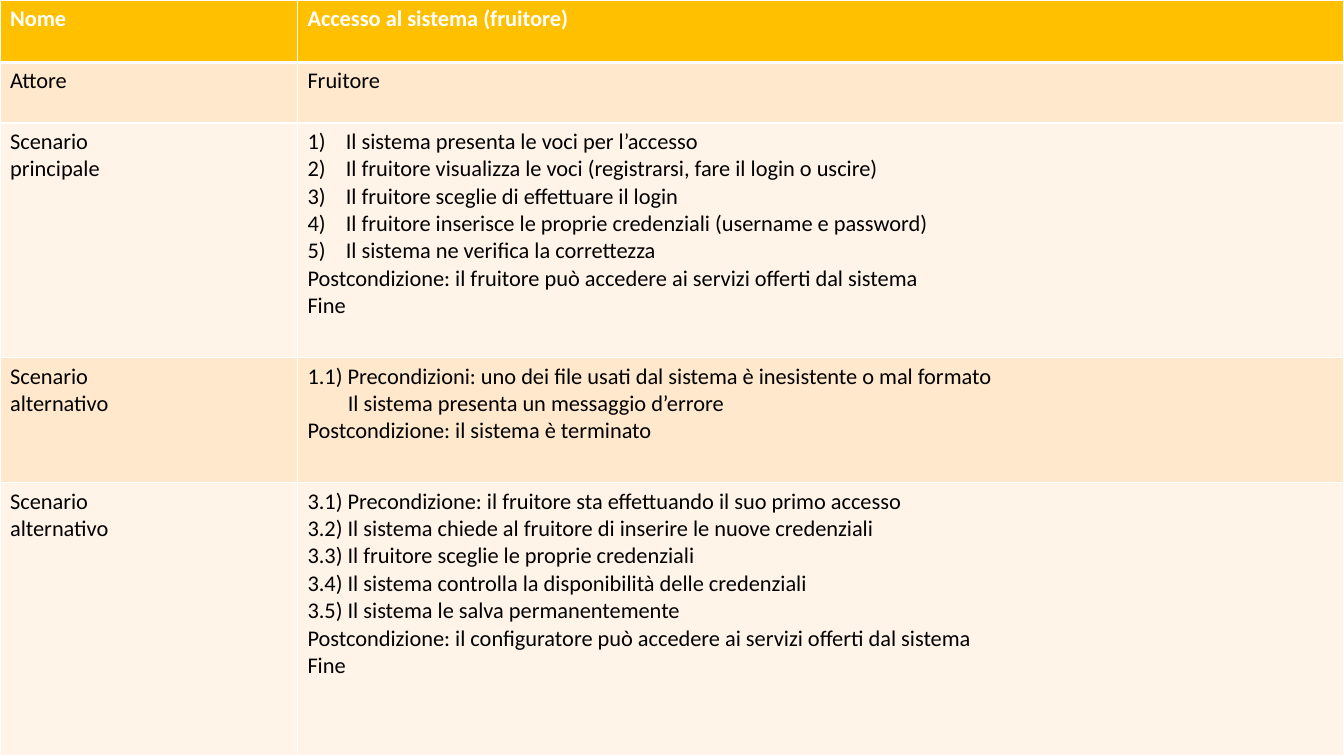
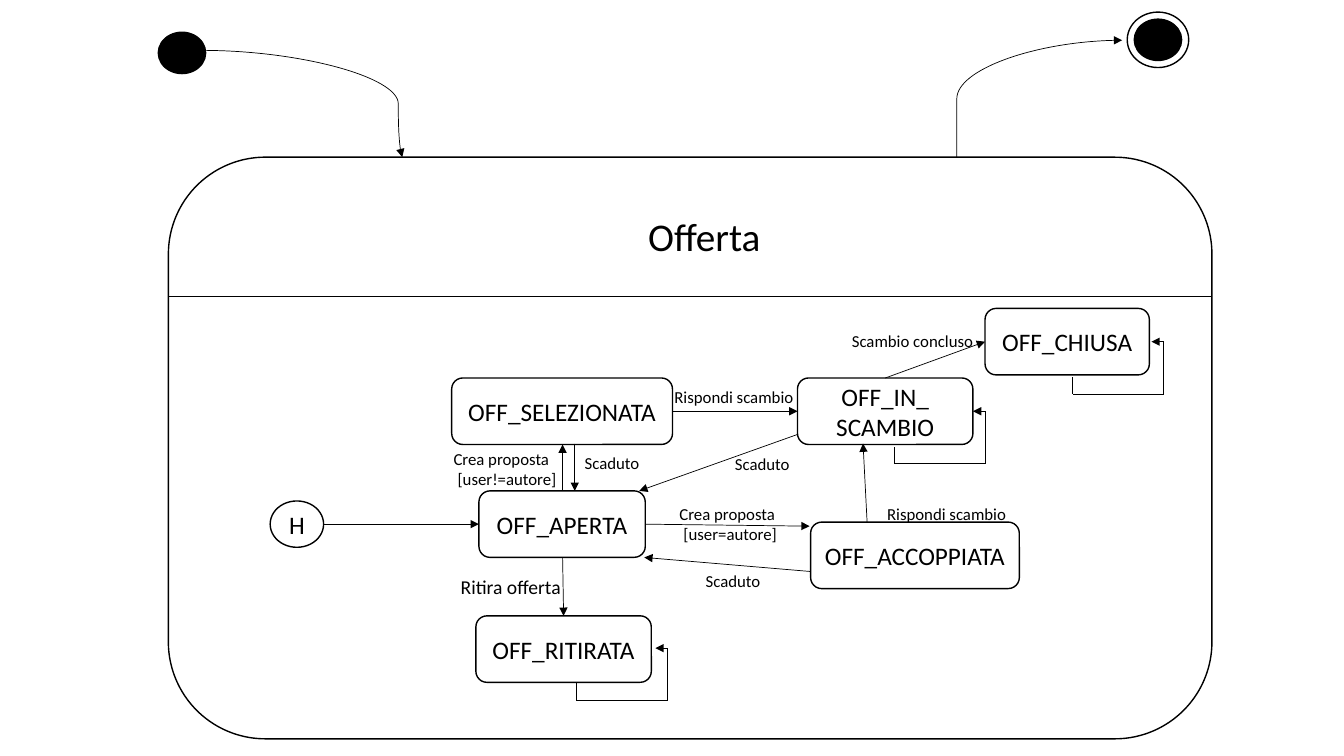
import lxml.etree
import pptx
import pptx.dml.color
import pptx.enum.shapes
import pptx.enum.text
import pptx.oxml.ns
import pptx.util

Inches = pptx.util.Inches
Pt = pptx.util.Pt
RGBColor = pptx.dml.color.RGBColor
SHAPE = pptx.enum.shapes.MSO_SHAPE
CONNECTOR = pptx.enum.shapes.MSO_CONNECTOR
ALIGN = pptx.enum.text.PP_ALIGN
ANCHOR = pptx.enum.text.MSO_ANCHOR
qn = pptx.oxml.ns.qn

# Shared look
FONT = "Calibri"
BLACK = RGBColor(0x00, 0x00, 0x00)
WHITE = RGBColor(0xFF, 0xFF, 0xFF)
GOLD = RGBColor(0xFF, 0xC0, 0x00)
PEACH = RGBColor(0xFF, 0xE8, 0xCC)
CREAM = RGBColor(0xFF, 0xF4, 0xE7)

# Use case rows: height, label lines, content lines as (text, kind)
USE_CASE = [
    (0.62, ["Nome"], [("Accesso al sistema (fruitore)", "")]),
    (0.6, ["Attore"], [("Fruitore", "")]),
    (2.33, ["Scenario", "principale"], [
        ("Il sistema presenta le voci per l’accesso", "numbered"),
        ("Il fruitore visualizza le voci (registrarsi, fare il login o uscire)", "numbered"),
        ("Il fruitore sceglie di effettuare il login", "numbered"),
        ("Il fruitore inserisce le proprie credenziali (username e password)", "numbered"),
        ("Il sistema ne verifica la correttezza", "numbered"),
        ("Postcondizione: il fruitore può accedere ai servizi offerti dal sistema", ""),
        ("Fine", "")]),
    (1.24, ["Scenario", "alternativo"], [
        ("1.1) Precondizioni: uno dei file usati dal sistema è inesistente o mal formato", ""),
        ("Il sistema presenta un messaggio d’errore", "indented"),
        ("Postcondizione: il sistema è terminato", "")]),
    (2.71, ["Scenario", "alternativo"], [
        ("3.1) Precondizione: il fruitore sta effettuando il suo primo accesso", ""),
        ("3.2) Il sistema chiede al fruitore di inserire le nuove credenziali", ""),
        ("3.3) Il fruitore sceglie le proprie credenziali", ""),
        ("3.4) Il sistema controlla la disponibilità delle credenziali", ""),
        ("3.5) Il sistema le salva permanentemente", ""),
        ("Postcondizione: il configuratore può accedere ai servizi offerti dal sistema", ""),
        ("Fine", "")]),
]

# States: text, left, top, width
STATES = [
    ("OFF_APERTA", 4.75, 4.87, 1.65),
    ("OFF_RITIRATA", 4.72, 6.11, 1.74),
    ("OFF_IN_ SCAMBIO", 7.91, 3.75, 1.74),
    ("OFF_ACCOPPIATA", 8.04, 5.18, 2.07),
    ("OFF_SELEZIONATA", 4.48, 3.75, 2.19),
    ("OFF_CHIUSA", 9.77, 3.06, 1.63),
]
STATE_HEIGHT = 0.66

# Transitions between states: start, end
TRANSITIONS = [
    ((3.21, 5.2), (4.75, 5.2)),
    ((5.58, 5.53), (5.59, 6.11)),
    ((6.4, 5.2), (8.03, 5.22)),
    ((6.67, 4.08), (7.91, 4.08)),
    ((8.6, 5.18), (8.56, 4.4)),
    ((5.58, 4.87), (5.58, 4.41)),
    ((5.7, 4.4), (5.7, 4.87)),
    ((8.78, 3.75), (9.77, 3.39)),
    ((7.91, 4.31), (6.34, 4.87)),
    ((8.04, 5.67), (6.39, 5.53)),
]

# Transition labels: lines, left, top, width, height, size
LABELS = [
    (["Ritira offerta"], 4.47, 5.65, 1.21, 0.34, 14),
    (["Scaduto"], 5.7, 4.44, 0.75, 0.3, 12),
    (["Scaduto"], 6.9, 5.61, 0.75, 0.3, 12),
    (["Scaduto"], 7.19, 4.45, 0.75, 0.3, 12),
    (["Scambio concluso"], 8.35, 3.23, 1.42, 0.3, 12),
    (["Rispondi scambio"], 8.7, 4.95, 1.4, 0.3, 12),
    (["Rispondi scambio"], 6.59, 3.79, 1.4, 0.3, 12),
    (["Crea proposta", "[user!=autore]"], 4.4, 4.4, 1.23, 0.5, 12),
    (["Crea proposta", "[user=autore]"], 6.64, 4.95, 1.22, 0.5, 12),
]

# Top right corner of each self-transition
LOOPS = [(9.77, 4.08), (11.54, 3.39), (6.62, 6.43)]


def add_run(paragraph, text, size, color=BLACK, bold=False):
    run = paragraph.add_run()
    run.text = text
    run.font.name = FONT
    run.font.size = Pt(size)
    run.font.bold = bold
    run.font.color.rgb = color


def add_lines(frame, lines, size, color=BLACK, bold=False):
    for i, line in enumerate(lines):
        paragraph = frame.add_paragraph() if i else frame.paragraphs[0]
        add_run(paragraph, line, size, color, bold)


def indent(paragraph, left, first=0.0, numbered=False):
    props = paragraph._p.get_or_add_pPr()
    props.set("marL", str(Inches(left)))
    props.set("indent", str(Inches(first)))
    if numbered:
        lxml.etree.SubElement(props, qn("a:buFont")).set("typeface", "+mj-lt")
        lxml.etree.SubElement(props, qn("a:buAutoNum")).set("type", "arabicParenR")


# Use case table
def set_borders(cell, bottom):
    props = cell._tc.get_or_add_tcPr()
    for i, (side, width) in enumerate([("L", 1), ("R", 1), ("T", 1), ("B", bottom)]):
        border = lxml.etree.Element(qn("a:ln" + side), w=str(Pt(width)))
        fill = lxml.etree.SubElement(border, qn("a:solidFill"))
        lxml.etree.SubElement(fill, qn("a:srgbClr")).set("val", str(WHITE))
        props.insert(i, border)


def add_use_case(slide, left, top, width, height, label_width=2.95):
    table = slide.shapes.add_table(
        len(USE_CASE), 2, Inches(left), Inches(top), Inches(width), Inches(height)).table
    table.columns[0].width = Inches(label_width)
    table.columns[1].width = Inches(width - label_width)
    for i, (row_height, label, content) in enumerate(USE_CASE):
        header = i == 0
        table.rows[i].height = Inches(row_height)
        for j, lines in enumerate([label, [text for text, _ in content]]):
            cell = table.cell(i, j)
            cell.fill.solid()
            cell.fill.fore_color.rgb = GOLD if header else PEACH if i % 2 else CREAM
            set_borders(cell, 3 if header else 1)
            add_lines(cell.text_frame, lines, 16, WHITE if header else BLACK, header)
        for paragraph, (_, kind) in zip(table.cell(i, 1).text_frame.paragraphs, content):
            if kind == "numbered":
                indent(paragraph, 0.38, -0.38, numbered=True)
            elif kind == "indented":
                indent(paragraph, 0.4)


# State diagram parts
def add_node(slide, kind, left, top, width, height, fill=WHITE, text=""):
    node = slide.shapes.add_shape(
        kind, Inches(left), Inches(top), Inches(width), Inches(height))
    node.shadow.inherit = False
    if fill is None:
        node.fill.background()
    else:
        node.fill.solid()
        node.fill.fore_color.rgb = fill
    node.line.color.rgb = BLACK
    node.line.width = Pt(1)
    if text:
        frame = node.text_frame
        frame.word_wrap = True
        frame.margin_left = frame.margin_right = Inches(0.05)
        frame.vertical_anchor = ANCHOR.MIDDLE
        frame.paragraphs[0].alignment = ALIGN.CENTER
        add_run(frame.paragraphs[0], text, 18)


def add_line(slide, start, end, arrow=True, bend=None):
    kind = CONNECTOR.STRAIGHT if bend is None else CONNECTOR.CURVE
    line = slide.shapes.add_connector(kind, *[Inches(v) for v in (*start, *end)])
    line.line.color.rgb = BLACK
    line.line.width = Pt(0.5)
    props = line._element.spPr
    if arrow:
        lxml.etree.SubElement(line.line._get_or_add_ln(), qn("a:tailEnd")).set("type", "triangle")
    lxml.etree.SubElement(props, qn("a:effectLst"))
    if bend is not None:
        geometry = props.find(qn("a:prstGeom"))
        guides = geometry.find(qn("a:avLst"))
        if guides is None:
            guides = lxml.etree.SubElement(geometry, qn("a:avLst"))
        guide = lxml.etree.SubElement(guides, qn("a:gd"))
        guide.set("name", "adj1")
        guide.set("fmla", f"val {round(bend * 100000)}")


def add_loop(slide, right, top):
    left, bottom = right - 0.9, top + 0.52
    add_line(slide, (left, bottom), (left, bottom - 0.17), arrow=False)
    add_line(slide, (right, bottom), (left, bottom), arrow=False)
    add_line(slide, (right, top), (right, bottom), arrow=False)
    add_line(slide, (right, top), (right - 0.12, top))


def add_label(slide, lines, left, top, width, height, size):
    frame = slide.shapes.add_textbox(
        Inches(left), Inches(top), Inches(width), Inches(height)).text_frame
    frame.word_wrap = False
    add_lines(frame, lines, size)
    for guard in frame.paragraphs[1:]:
        indent(guard, 0.04)


def add_frame(slide, left, top, width, height, header=1.38):
    add_node(slide, SHAPE.ROUNDED_RECTANGLE, left, top, width, height, fill=None)
    add_line(slide, (left, top + header), (left + width, top + header), arrow=False)
    title = slide.shapes.title
    title.left, title.top = Inches(left + 4.65), Inches(top + 0.49)
    title.width, title.height = Inches(1.33), Inches(0.57)
    frame = title.text_frame
    frame.auto_size = pptx.enum.text.MSO_AUTO_SIZE.NONE
    frame.word_wrap = False
    frame.vertical_anchor = ANCHOR.MIDDLE
    frame.paragraphs[0].alignment = ALIGN.CENTER
    add_run(frame.paragraphs[0], "Offerta", 28)


def add_state_diagram(slide):
    add_frame(slide, 1.67, 1.56, 10.35, 5.77)

    # Initial and final states
    add_node(slide, SHAPE.OVAL, 1.57, 0.32, 0.47, 0.41, BLACK)
    add_node(slide, SHAPE.OVAL, 11.18, 0.12, 0.61, 0.55)
    add_node(slide, SHAPE.OVAL, 11.25, 0.19, 0.47, 0.41, BLACK)
    add_line(slide, (2, 0.5), (3.99, 1.56), bend=0.98)
    add_line(slide, (9.49, 1.56), (11.13, 0.4), bend=0.0)

    # History, states and transitions
    add_node(slide, SHAPE.OVAL, 2.68, 4.97, 0.53, 0.46, text="H")
    for text, left, top, width in STATES:
        add_node(slide, SHAPE.ROUNDED_RECTANGLE, left, top, width, STATE_HEIGHT, text=text)
    for start, end in TRANSITIONS:
        add_line(slide, start, end)
    for corner in LOOPS:
        add_loop(slide, *corner)
    for label in LABELS:
        add_label(slide, *label)


def main():
    deck = pptx.Presentation()
    deck.slide_width, deck.slide_height = Inches(13.33), Inches(7.5)
    title_only, blank = deck.slide_layouts[5], deck.slide_layouts[6]
    add_use_case(deck.slides.add_slide(blank), 0, 0, 13.33, 7.5)
    add_state_diagram(deck.slides.add_slide(title_only))
    deck.save("out.pptx")


if __name__ == "__main__":
    main()
